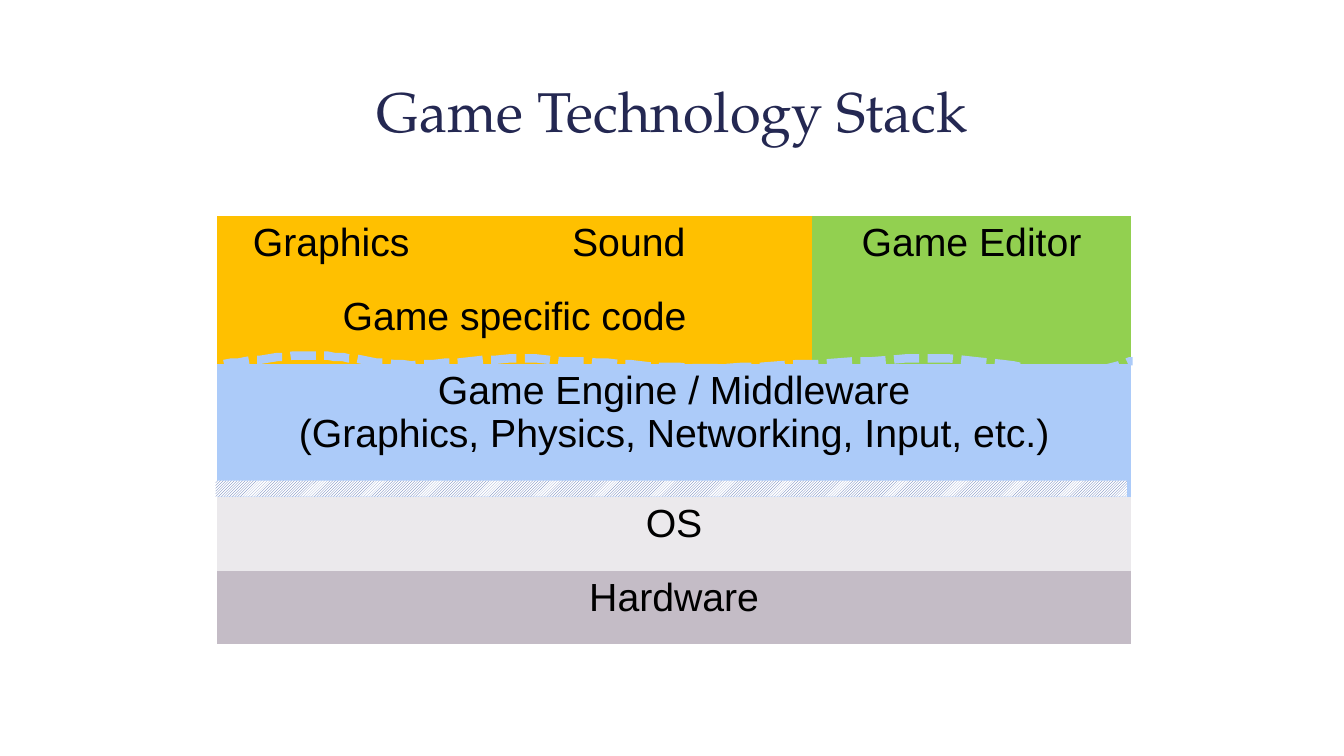
"""Build the Game Technology Stack slide."""
from pptx import Presentation
from pptx.dml.color import RGBColor
from pptx.enum.dml import MSO_LINE, MSO_PATTERN
from pptx.enum.shapes import MSO_SHAPE
from pptx.enum.text import MSO_ANCHOR, PP_ALIGN
from pptx.util import Pt

CENTER = PP_ALIGN.CENTER
BOTTOM = MSO_ANCHOR.BOTTOM
DASHED = MSO_LINE.SQUARE_DOT
DIAGONAL = MSO_PATTERN.LIGHT_UPWARD_DIAGONAL
RECTANGLE = MSO_SHAPE.RECTANGLE

COLORS = {
    "title": "242852", "text": "000000", "game": "FFC000", "editor": "92D050",
    "engine": "ACCBF9", "os": "EBE9EC", "hardware": "C4BCC6",
    "hatch": "4A66AC", "paper": "FFFFFF",
}
TITLE = "Game Technology Stack"
# Each layer: text, colour, row, column, rows spanned, columns spanned
LAYERS = [
    ("Graphics", "game", 0, 0, 1, 1),
    ("Sound", "game", 0, 1, 1, 1),
    ("Game Editor", "editor", 0, 2, 2, 1),
    ("Game specific code", "game", 1, 0, 1, 2),
    ("Game Engine / Middleware\n(Graphics, Physics, Networking, Input, etc.)",
     "engine", 2, 0, 1, 3),
    ("OS", "os", 3, 0, 1, 3),
    ("Hardware", "hardware", 4, 0, 1, 3),
]
STACK_LEFT, STACK_TOP = 155, 154.2
COLUMN_WIDTHS = [163.2, 261.8, 228]
ROW_HEIGHTS = [52.8, 52.8, 95, 52.8, 52.8]
NO_STYLE = "{2D5ABB26-0587-4C30-8999-92F81FD0307C}"
WAVE_START = (159.8, 259.9)
WAVE_CURVES = [
    ((180, 258.5), (202.3, 252.7), (228.2, 254.2)),
    ((252.7, 254.2), (263.5, 259.9), (294.5, 260.6)),
    ((322.6, 260.6), (365, 252.7), (401, 257.8)),
    ((435.6, 257.8), (463, 262.8), (504, 262.8)),
    ((553, 262.1), (616.3, 257.8), (658.1, 255.6)),
    ((698.4, 256.3), (736.6, 264.2), (762.5, 265.7)),
    ((787.7, 265.7), (808.6, 257.8), (808.6, 257.8)),
]
STEPS = 12


def color(name):
    return RGBColor.from_string(COLORS[name])


def style(paragraph, font_name, size, color_name):
    paragraph.alignment = CENTER
    paragraph.font.name = font_name
    paragraph.font.size = Pt(size)
    paragraph.font.color.rgb = color(color_name)


def curve_points(start, curves):
    for first, second, end in curves:
        for step in range(1, STEPS + 1):
            t = step / STEPS
            weights = ((1 - t) ** 3, 3 * t * (1 - t) ** 2, 3 * t * t * (1 - t), t ** 3)
            corners = (start, first, second, end)
            yield tuple(sum(w * c[axis] for w, c in zip(weights, corners))
                        for axis in (0, 1))
        start = end


def add_title(slide):
    title = slide.shapes.add_textbox(Pt(48), Pt(-8), Pt(864), Pt(114)).text_frame
    title.word_wrap = True
    title.vertical_anchor = BOTTOM
    title.text = TITLE
    heading = title.paragraphs[0]
    heading.line_spacing = Pt(58)
    style(heading, "TeX Gyre Pagella", 40, "title")


def add_stack(slide):
    stack = slide.shapes.add_table(
        len(ROW_HEIGHTS), len(COLUMN_WIDTHS), Pt(STACK_LEFT), Pt(STACK_TOP),
        Pt(sum(COLUMN_WIDTHS)), Pt(sum(ROW_HEIGHTS))).table
    stack.first_row = stack.horz_banding = False
    stack._tbl.tblPr[0].text = NO_STYLE
    for column, width in zip(stack.columns, COLUMN_WIDTHS):
        column.width = Pt(width)
    for row, height in zip(stack.rows, ROW_HEIGHTS):
        row.height = Pt(height)
    for text, fill, row, column, row_span, column_span in LAYERS:
        layer = stack.cell(row, column)
        if row_span * column_span > 1:
            layer.merge(stack.cell(row + row_span - 1, column + column_span - 1))
        layer.fill.solid()
        layer.fill.fore_color.rgb = color(fill)
        layer.text = text
        for paragraph in layer.text_frame.paragraphs:
            style(paragraph, "Arial", 28, "text")


def add_boundaries(slide):
    builder = slide.shapes.build_freeform(*WAVE_START, scale=Pt(1))
    builder.add_line_segments(curve_points(WAVE_START, WAVE_CURVES), close=False)
    wave = builder.convert_to_shape()
    wave.shadow.inherit = False
    wave.fill.background()
    wave.line.color.rgb = color("engine")
    wave.line.width = Pt(6)
    wave.line.dash_style = DASHED

    hatch = slide.shapes.add_shape(RECTANGLE, Pt(154), Pt(343.3), Pt(651), Pt(11.5))
    hatch.shadow.inherit = False
    hatch.fill.patterned()
    hatch.fill.pattern = DIAGONAL
    hatch.fill.fore_color.rgb = color("hatch")
    hatch.fill.back_color.rgb = color("paper")
    hatch.line.fill.background()


def main():
    deck = Presentation()
    deck.slide_width, deck.slide_height = Pt(960), Pt(540)
    slide = deck.slides.add_slide(deck.slide_layouts[6])
    add_title(slide)
    add_stack(slide)
    add_boundaries(slide)
    deck.save("out.pptx")


if __name__ == "__main__":
    main()
